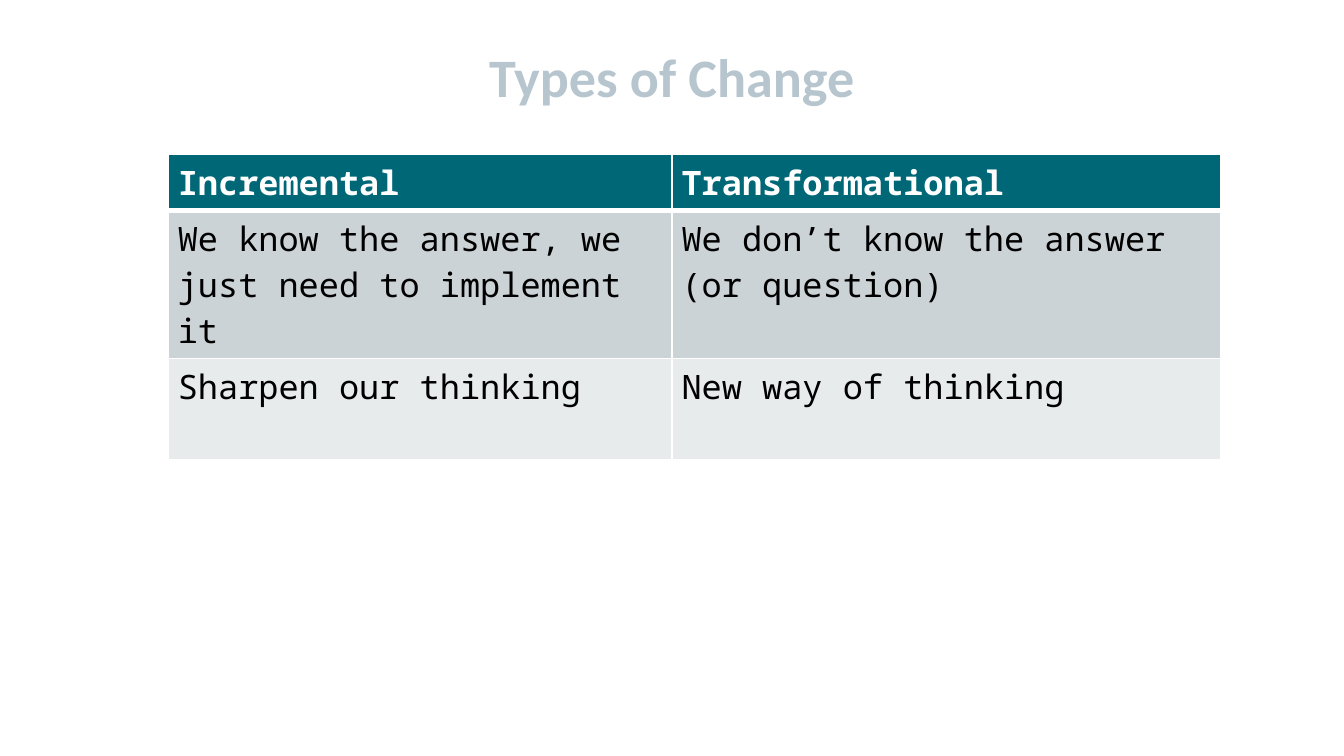
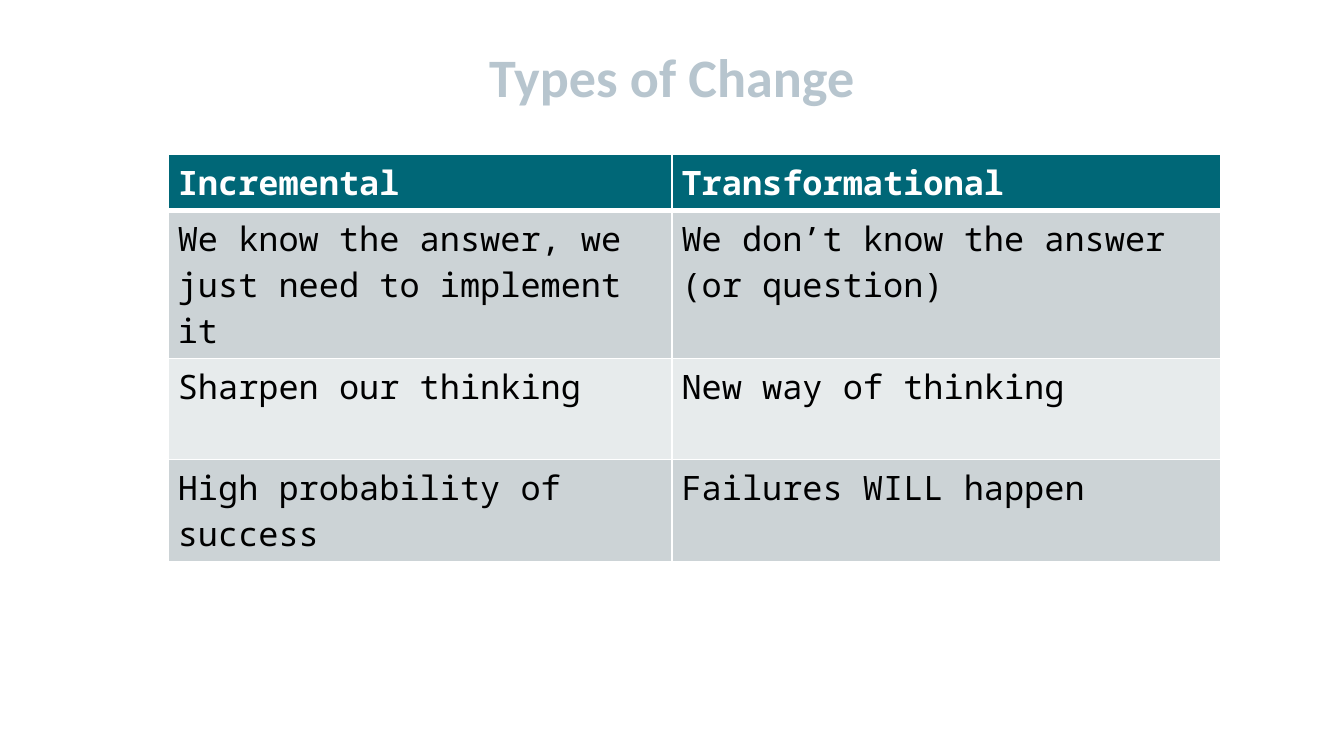
"""Build two slides comparing incremental and transformational change."""
from lxml.etree import SubElement
from pptx import Presentation
from pptx.dml.color import RGBColor
from pptx.enum.text import MSO_ANCHOR, PP_ALIGN
from pptx.oxml.ns import qn
from pptx.util import Cm, Pt

COLOURS = {
    "title": "B7C5CE",
    "header": "006777",
    "dark_band": "CCD3D6",
    "light_band": "E7EBEC",
    "white": "FFFFFF",
    "black": "000000",
}
TITLE_FONT = "Calibri"
TABLE_FONT = "Noto Sans Mono"
COLUMN_WIDTHS = [Cm(9.52), Cm(10.37)]
ROW_HEIGHTS = [Cm(1.04), Cm(2.77), Cm(1.91), Cm(1.91)]
COMPARISON = [
    ("Incremental", "Transformational"),
    ("We know the answer, we just need to implement it",
     "We don’t know the answer (or question)"),
    ("Sharpen our thinking", "New way of thinking"),
    ("High probability of success", "Failures WILL happen"),
]


def add_run(paragraph, text, font, size, colour, bold):
    run = paragraph.add_run()
    run.text = text
    run.font.name = font
    run.font.size = Pt(size)
    run.font.bold = bold
    run.font.color.rgb = RGBColor.from_string(COLOURS[colour])


def add_title(slide, text):
    title = slide.shapes.title
    title.left, title.top = Cm(1.27), Cm(0.64)
    title.width, title.height = Cm(22.86), Cm(1.57)
    title.text_frame.vertical_anchor = MSO_ANCHOR.MIDDLE
    paragraph = title.text_frame.paragraphs[0]
    paragraph.alignment = PP_ALIGN.CENTER
    add_run(paragraph, text, TITLE_FONT, 29, "title", True)


def set_borders(cell, top, bottom):
    properties = cell._tc.get_or_add_tcPr()
    for side, width in (("L", 1), ("R", 1), ("T", top), ("B", bottom)):
        line = SubElement(properties, qn(f"a:ln{side}"), w=str(Pt(width)))
        fill = SubElement(line, qn("a:solidFill"))
        SubElement(fill, qn("a:srgbClr"), val=COLOURS["white"])


def format_cell(cell, text, row_index):
    is_header = row_index == 0
    cell.margin_left = cell.margin_right = Cm(0.18)
    cell.margin_top = cell.margin_bottom = Cm(0.1)
    set_borders(cell, top=3 if row_index == 1 else 1, bottom=3 if is_header else 1)
    band = "dark_band" if row_index % 2 else "light_band"
    cell.fill.solid()
    cell.fill.fore_color.rgb = RGBColor.from_string(COLOURS["header" if is_header else band])
    add_run(cell.text_frame.paragraphs[0], text, TABLE_FONT, 18,
            "white" if is_header else "black", is_header)


def add_comparison_table(slide, rows):
    heights = ROW_HEIGHTS[:len(rows)]
    frame = slide.shapes.add_table(len(rows), len(COLUMN_WIDTHS), Cm(3.18), Cm(2.92),
                                   sum(COLUMN_WIDTHS), sum(heights))
    table = frame.table
    for column, width in zip(table.columns, COLUMN_WIDTHS):
        column.width = width
    for row_index, (texts, height) in enumerate(zip(rows, heights)):
        table.rows[row_index].height = height
        for column_index, text in enumerate(texts):
            format_cell(table.cell(row_index, column_index), text, row_index)


def main():
    presentation = Presentation()
    presentation.slide_width, presentation.slide_height = Cm(25.4), Cm(14.29)
    title_only = presentation.slide_layouts.get_by_name("Title Only")
    for row_count in (3, 4):
        slide = presentation.slides.add_slide(title_only)
        add_title(slide, "Types of Change")
        add_comparison_table(slide, COMPARISON[:row_count])
    presentation.save("out.pptx")


if __name__ == "__main__":
    main()
